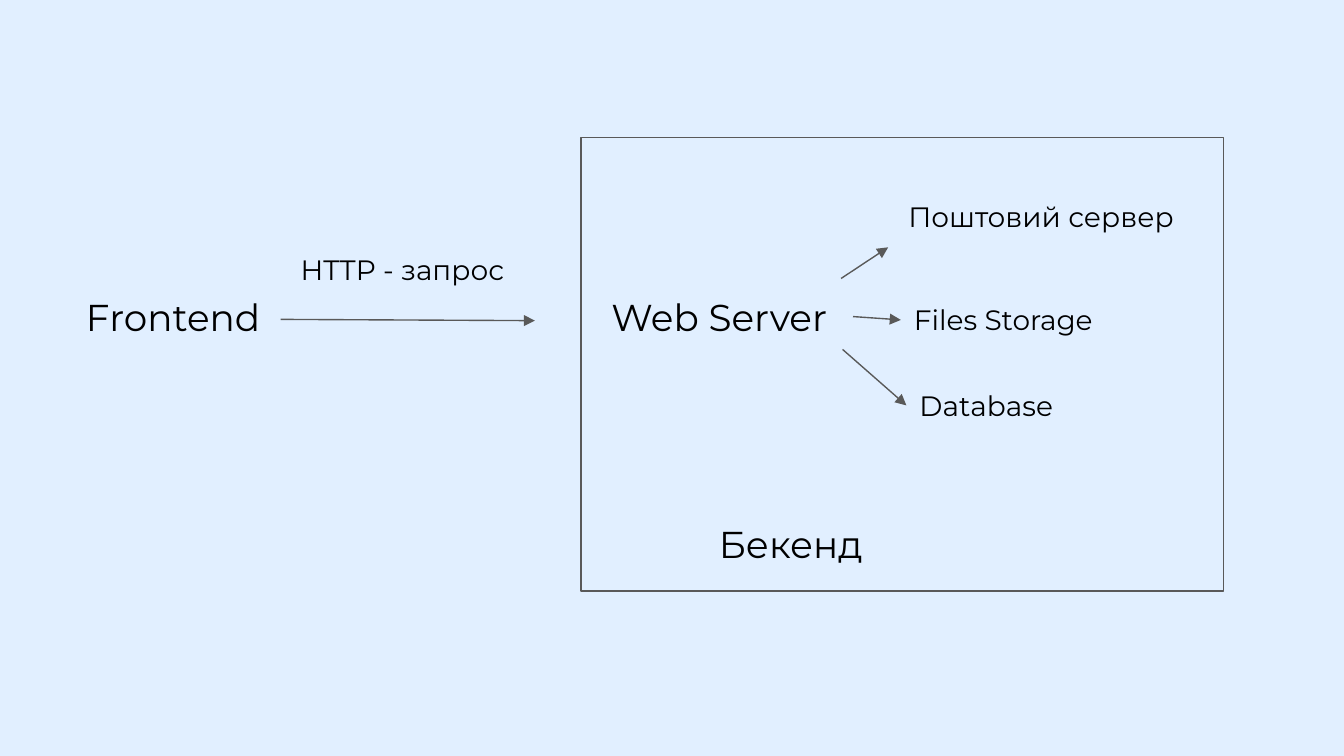
import pptx
import pptx.util
import pptx.dml.color
import pptx.enum.shapes
import pptx.enum.text
import pptx.oxml
import pptx.oxml.ns

Pt = pptx.util.Pt
qn = pptx.oxml.ns.qn


def tint(code):
    return pptx.dml.color.RGBColor.from_string(code)


deck = pptx.Presentation()
deck.slide_width, deck.slide_height = Pt(720), Pt(405)
slide = deck.slides.add_slide(deck.slide_layouts[6])
back = slide.background.fill
back.solid()
back.fore_color.rgb = tint("E1EFFF")

frame = slide.shapes.add_shape(
    pptx.enum.shapes.MSO_SHAPE.RECTANGLE, Pt(311.2), Pt(73.6), Pt(344.4), Pt(243)
)
frame.shadow.inherit = False
frame.fill.background()
frame.line.color.rgb = tint("595959")
frame.line.width = Pt(0.75)

inset = {
    "word_wrap": True,
    "auto_size": pptx.enum.text.MSO_AUTO_SIZE.SHAPE_TO_FIT_TEXT,
    "margin_left": Pt(7.2),
    "margin_right": Pt(7.2),
    "margin_top": Pt(7.2),
    "margin_bottom": Pt(7.2),
}
high = {20: 38.9, 15: 32.4}
labels = [
    ("Frontend", 39, 150.5, 128, 20),
    ("Web Server", 320.5, 150.5, 136, 20),
    ("Бекенд", 378, 272.2, 128, 20),
    ("HTTP - запрос", 154, 128.2, 128, 15),
    ("Поштовий сервер", 479.5, 99.5, 157.5, 15),
    ("Files Storage", 482.5, 154.8, 123, 15),
    ("Database", 485.5, 200.9, 117.5, 15),
]
for words, left, top, wide, size in labels:
    box = slide.shapes.add_textbox(Pt(left), Pt(top), Pt(wide), Pt(high[size]))
    for key, value in inset.items():
        setattr(box.text_frame, key, value)
    run = box.text_frame.paragraphs[0].add_run()
    run.text = words
    for key, value in {"name": "Montserrat", "size": Pt(size)}.items():
        setattr(run.font, key, value)
    run.font.color.rgb = tint("000000")

arrows = [
    (150.4, 171.1, 286.6, 171.8),
    (450.6, 149.2, 475.8, 132.5),
    (457, 169.6, 482.6, 171.4),
    (451.4, 187.2, 485.6, 217.2),
]
for ends in arrows:
    arrow = slide.shapes.add_connector(
        pptx.enum.shapes.MSO_CONNECTOR.STRAIGHT, *map(Pt, ends)
    )
    arrow.line.color.rgb = tint("595959")
    arrow.line.width = Pt(0.75)
    tip = pptx.oxml.parse_xml(
        '<a:tailEnd xmlns:a="http://schemas.openxmlformats.org/drawingml/2006/main"'
        ' type="triangle" w="med" len="med"/>'
    )
    arrow.line._get_or_add_ln().append(tip)
    props = arrow._element.spPr
    props.append(props.makeelement(qn("a:effectLst"), {}))

deck.save("out.pptx")
